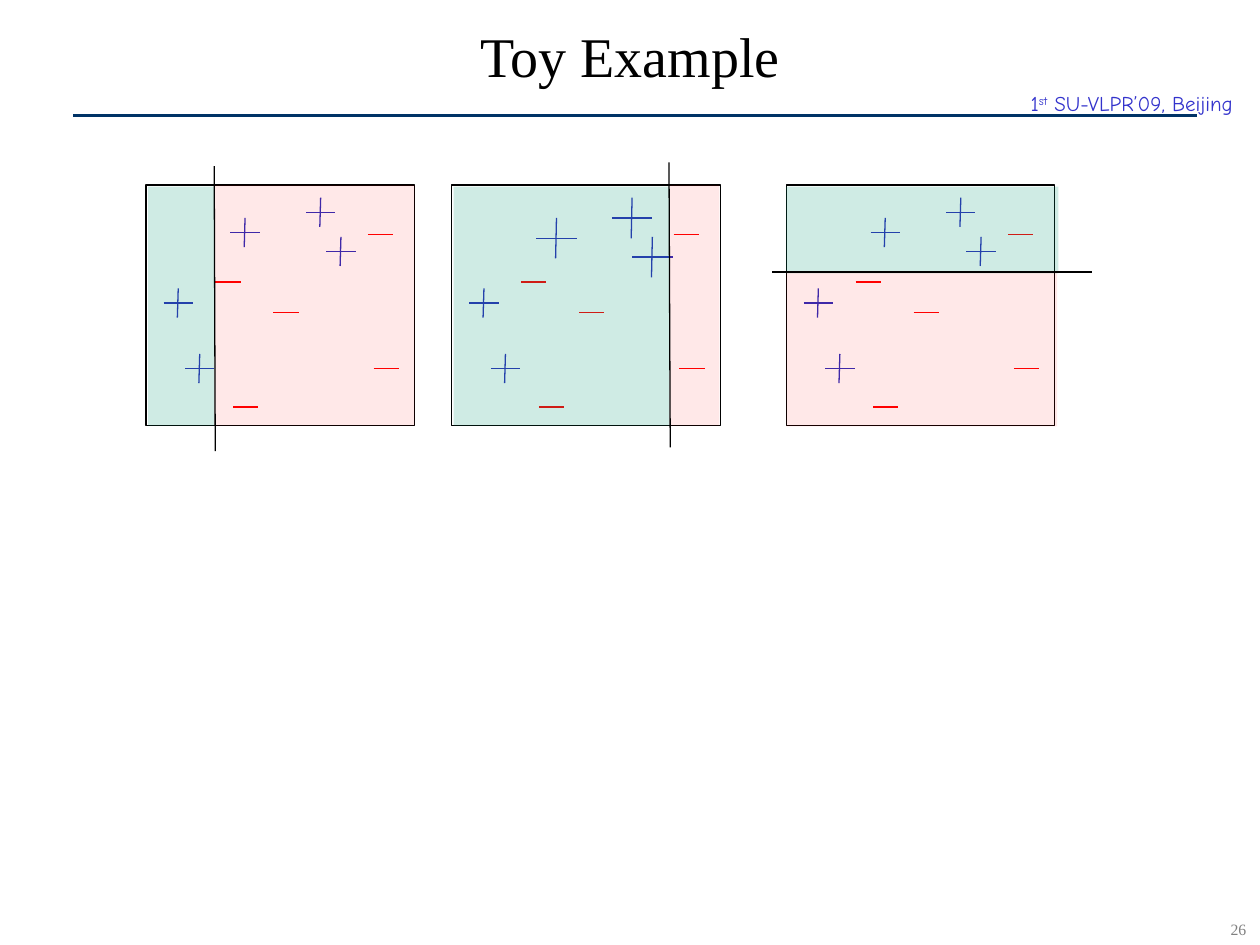
from pptx import Presentation
from pptx.dml.color import RGBColor
from pptx.enum.shapes import MSO_CONNECTOR, MSO_SHAPE
from pptx.enum.text import MSO_ANCHOR, MSO_AUTO_SIZE, PP_ALIGN
from pptx.oxml.ns import qn
from pptx.util import Pt
from lxml.etree import SubElement

BLACK = RGBColor(0x00, 0x00, 0x00)
GRAY = RGBColor(0x80, 0x80, 0x80)
NAVY = RGBColor(0x00, 0x33, 0x66)
EVENT_BLUE = RGBColor(0x33, 0x33, 0xCC)
PLUS_BLUE = RGBColor(0x2D, 0x2D, 0xB9)
RED = RGBColor(0xFF, 0x00, 0x00)
GREEN = RGBColor(0x00, 0x99, 0x73)

# Panels share one sample layout, measured from the panel's top left corner
PANEL_TOP, PANEL_W, PANEL_H = 105.8, 153.4, 137.5
PLUSES = [(91.4, 7.2), (48.2, 18.7), (103, 29.5), (10, 59), (22.3, 96.5)]
MINUSES = [(39.6, 55.4), (126.7, 28.1), (72.7, 72.7), (130, 104.8), (49.7, 126.7)]
PLUS_SIZE, BIG_PLUS_SIZE, MINUS_W = 16.7, 23.2, 14.4

# left, enlarged pluses, green area, red area, decision boundary
PANELS = [
    (83.5, (), (1.2, 0.8, 38, 136.7), (38.9, 0, 114.5, 137.5),
     (39.5, 152, 38.9, -10.8)),
    (258.2, (0, 1, 2), (1, 0.8, 123.2, 136.7), (124.6, 0, 28.3, 137.5),
     (124.8, 149.8, 124.1, -13)),
    (449.3, (), (0, 0.8, 155.5, 49.7), (0, 50.3, 154.8, 87.5),
     (-8, 49.7, 174.9, 49.7)),
]

prs = Presentation()
prs.slide_width, prs.slide_height = Pt(720), Pt(540)
slide = prs.slides.add_slide(prs.slide_layouts[5])


def add_line(x1, y1, x2, y2, color, width=0.75):
    line = slide.shapes.add_connector(
        MSO_CONNECTOR.STRAIGHT, Pt(x1), Pt(y1), Pt(x2), Pt(y2))
    line.line.color.rgb = color
    line.line.width = Pt(width)
    SubElement(line._element.spPr, qn("a:effectLst"))


def add_rect(left, top, width, height, fill=None, opacity=100):
    rect = slide.shapes.add_shape(
        MSO_SHAPE.RECTANGLE, Pt(left), Pt(top), Pt(width), Pt(height))
    rect.shadow.inherit = False
    if fill is None:
        rect.fill.background()
        rect.line.color.rgb = BLACK
        rect.line.width = Pt(0.75)
    else:
        rect.fill.solid()
        rect.fill.fore_color.rgb = fill
        rect.line.fill.background()
        color = rect._element.spPr.find(qn("a:solidFill"))[0]
        SubElement(color, qn("a:alpha")).set("val", str(opacity * 1000))


# Title
title = slide.shapes.title
title.left, title.top, title.width, title.height = Pt(41.8), Pt(0), Pt(643.7), Pt(66.2)
heading = title.text_frame
heading.text = "Toy Example"
heading.auto_size = MSO_AUTO_SIZE.NONE
heading.vertical_anchor = MSO_ANCHOR.MIDDLE
heading.margin_left = heading.margin_top = Pt(0)
heading.margin_right, heading.margin_bottom = Pt(7.2), Pt(3.6)
heading.paragraphs[0].alignment = PP_ALIGN.CENTER
heading_font = heading.paragraphs[0].runs[0].font
heading_font.name, heading_font.size = "Times New Roman", Pt(32)
heading_font.color.rgb = BLACK

# Header rule and event name
add_line(41.8, 66.2, 684, 66.2, NAVY, 1.75)
event = slide.shapes.add_textbox(Pt(581.8), Pt(48.2), Pt(172), Pt(21.6)).text_frame
event.word_wrap = True
for words, baseline in (("1", 0), ("st", 30), (" SU-VLPR’09, Beijing", 0)):
    run = event.paragraphs[0].add_run()
    run.text = words
    run.font.name, run.font.size = "Comic Neue", Pt(12)
    run.font.color.rgb = EVENT_BLUE
    if baseline:
        run.font._element.set("baseline", str(baseline * 1000))

# Page number
page = slide.shapes.add_textbox(Pt(681.8), Pt(522), Pt(51.8), Pt(18)).text_frame
page.text = "26"
page.word_wrap = False
page.paragraphs[0].alignment = PP_ALIGN.CENTER
page_font = page.paragraphs[0].runs[0].font
page_font.name, page_font.size = "Times New Roman", Pt(9)
page_font.color.rgb = GRAY

# Weak classifiers
for left, enlarged, green_area, red_area, boundary in PANELS:
    add_rect(left, PANEL_TOP, PANEL_W, PANEL_H)

    # Samples
    for index, (dx, dy) in enumerate(PLUSES):
        size = BIG_PLUS_SIZE if index in enlarged else PLUS_SIZE
        x, y = left + dx, PANEL_TOP + dy
        add_line(x, y + size / 2, x + size, y + size / 2, PLUS_BLUE)
        add_line(x + size / 2 - 0.5, y + size, x + size / 2, y, PLUS_BLUE)
    for dx, dy in MINUSES:
        x, y = left + dx, PANEL_TOP + dy
        add_line(x, y, x + MINUS_W, y, RED)

    # Predicted regions and the boundary between them
    for (dx, dy, width, height), fill, opacity in (
            (green_area, GREEN, 19), (red_area, RED, 9)):
        add_rect(left + dx, PANEL_TOP + dy, width, height, fill, opacity)
    x1, y1, x2, y2 = boundary
    add_line(left + x1, PANEL_TOP + y1, left + x2, PANEL_TOP + y2, BLACK)

prs.save("out.pptx")
